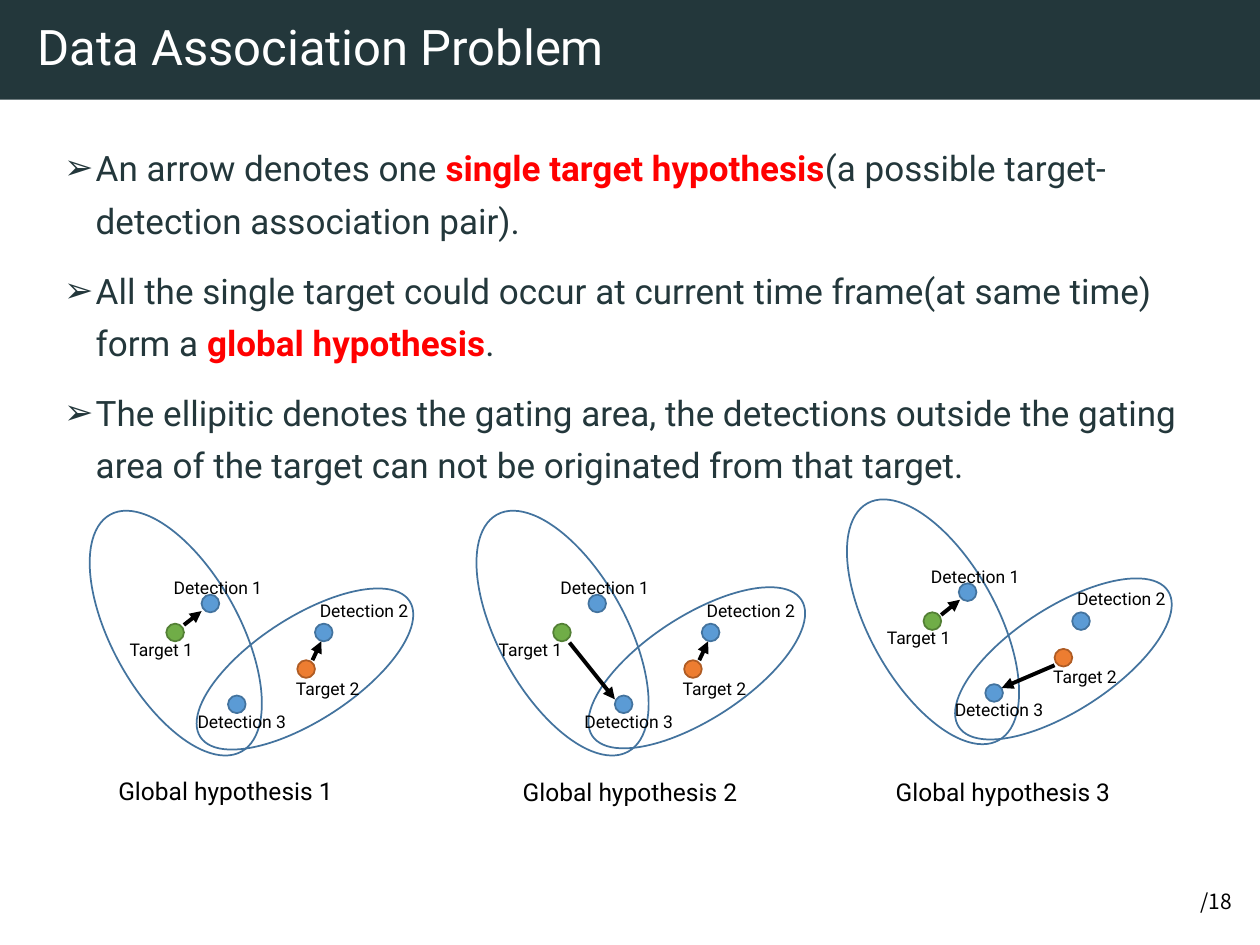
"""Build the data association slide with three global hypotheses."""
from lxml.etree import SubElement
from pptx import Presentation
from pptx.dml.color import RGBColor
from pptx.enum.shapes import MSO_CONNECTOR, MSO_SHAPE
from pptx.enum.text import MSO_ANCHOR, MSO_AUTO_SIZE, PP_ALIGN
from pptx.oxml.ns import qn
from pptx.util import Inches, Pt

COLORS = {name: RGBColor.from_string(value) for name, value in {
    "dark": "23373B", "white": "FFFFFF", "black": "000000", "red": "FF0000",
    "blue": "5B9BD5", "blue edge": "43739E", "green": "70AD47",
    "green edge": "538035", "orange": "ED7D31", "orange edge": "AF5C24"}.items()}

deck = Presentation()
deck.slide_width, deck.slide_height = Inches(10), Inches(7.5)
column, row = deck.slide_width / 10, deck.slide_height / 7.5
page = deck.slides.add_slide(deck.slide_layouts[1])


def grid(*cells):
    """Turn alternating columns and rows into lengths."""
    return [round(cell * unit) for cell, unit in zip(cells, (column, row) * 2)]


def add_label(text, area, size, font="Roboto", wrap=True):
    """Add black text in a box of its own."""
    box = page.shapes.add_textbox(*grid(*area))
    box.text_frame.word_wrap = wrap
    para = box.text_frame.paragraphs[0]
    para.text = text
    para.font.name, para.font.size = font, Pt(size)
    para.font.color.rgb = COLORS["black"]


title = page.shapes.title
title.left, title.top, title.width, title.height = grid(0, 0, 10, 0.79)
title.fill.solid()
title.fill.fore_color.rgb = COLORS["dark"]
frame = title.text_frame
frame.text = "Data Association Problem"
frame.auto_size, frame.vertical_anchor = MSO_AUTO_SIZE.NONE, MSO_ANCHOR.MIDDLE
frame.margin_left = Inches(0.3)
para = frame.paragraphs[0]
para.alignment, para.line_spacing = PP_ALIGN.LEFT, 0.9
para.font.name, para.font.size = "Roboto", Pt(28)
para.font.color.rgb = COLORS["white"]

statements = [
    ("An arrow denotes one ", "single target hypothesis",
     "(a possible target-detection association pair)."),
    ("All the single target could occur at current time frame(at same time) form a ",
     "global hypothesis", "."),
    ("The ellipitic denotes the gating area, the detections outside the gating area "
     "of the target can not be originated from that target.",)]
body = page.placeholders[1]
body.left, body.top, body.width, body.height = grid(0.41, 1.03, 9.19, 5.74)
frame = body.text_frame
frame.auto_size, frame.vertical_anchor = MSO_AUTO_SIZE.NONE, MSO_ANCHOR.TOP
for index, statement in enumerate(statements):
    para = frame.add_paragraph() if index else frame.paragraphs[0]
    para.line_spacing, para.space_before = 1.25, Pt(10)
    para.font.name, para.font.size = "Roboto", Pt(20)
    para.font.color.rgb = COLORS["dark"]
    for position, text in enumerate(statement):
        span = para.add_run()
        span.text = text
        if position == 1:
            span.font.bold = True
            span.font.color.rgb = COLORS["red"]
    properties = para._p.get_or_add_pPr()
    properties.set("marL", str(Inches(0.25)))
    properties.set("indent", str(-Inches(0.25)))
    bullet = SubElement(properties, qn("a:buChar"))
    bullet.set("char", "➢")
    properties.remove(bullet)
    properties.insert_element_before(bullet, "a:tabLst", "a:defRPr", "a:extLst")

dots = [("blue", 1.6, 4.72), ("green", 1.32, 4.95), ("orange", 2.36, 5.24),
        ("blue", 2.5, 4.95), ("blue", 1.81, 5.52)]
labels = [("Target 2", 2.25, 5.33), ("Detection 1", 1.28, 4.53),
          ("Detection 2", 2.44, 4.71), ("Detection 3", 1.47, 5.59)]
hypotheses = [
    {"shift": (0, 0), "gate": (2.01, 4.32), "caption": (0.84, 6.11), "target": 0.93,
     "arrows": [(1.46, 4.96, 1.6, 4.85), (2.48, 5.24, 2.55, 5.09)]},
    {"shift": (3.07, 0), "gate": (5.12, 4.31), "caption": (4.05, 6.12), "target": 0.79,
     "arrows": [(4.52, 5.1, 4.88, 5.55), (5.55, 5.24, 5.62, 5.09)]},
    {"shift": (6.01, -0.09), "gate": (8.03, 4.24), "caption": (7.01, 6.12), "target": 0.93,
     "arrows": [(7.47, 4.88, 7.62, 4.76), (8.37, 5.28, 7.95, 5.46)]}]

for number, hypothesis in enumerate(hypotheses, 1):
    across, down = hypothesis["shift"]
    ovals = [(color, (left + across, top + down, 0.14, 0.14), 0)
             for color, left, top in dots]
    ovals += [(None, (0.89 + across, 3.95 + down, 1.01, 2.15), 331),
              (None, (*hypothesis["gate"], 0.82, 1.98), 57)]
    for color, area, angle in ovals:
        oval = page.shapes.add_shape(MSO_SHAPE.OVAL, *grid(*area))
        oval.shadow.inherit = False
        oval.rotation = angle
        oval.line.width = Pt(1)
        oval.line.color.rgb = COLORS[f"{color or 'blue'} edge"]
        if color:
            oval.fill.solid()
            oval.fill.fore_color.rgb = COLORS[color]
        else:
            oval.fill.background()
    for text, left, top in [("Target 1", hypothesis["target"], 5.02), *labels]:
        add_label(text, (left + across, top + down, 0.96, 0.27), 10)
    for ends in hypothesis["arrows"]:
        arrow = page.shapes.add_connector(MSO_CONNECTOR.STRAIGHT, *grid(*ends))
        arrow.line.width = Pt(2.25)
        arrow.line.color.rgb = COLORS["black"]
        SubElement(arrow.line._get_or_add_ln(), qn("a:tailEnd")).set("type", "triangle")
        SubElement(arrow._element.spPr, qn("a:effectLst"))
    add_label(f"Global hypothesis {number}", (*hypothesis["caption"], 2.29, 0.34), 14)

add_label("/18", (9.43, 7, 0.45, 0.3), 12, "Noto Sans CJK SC", wrap=False)
deck.save("out.pptx")
